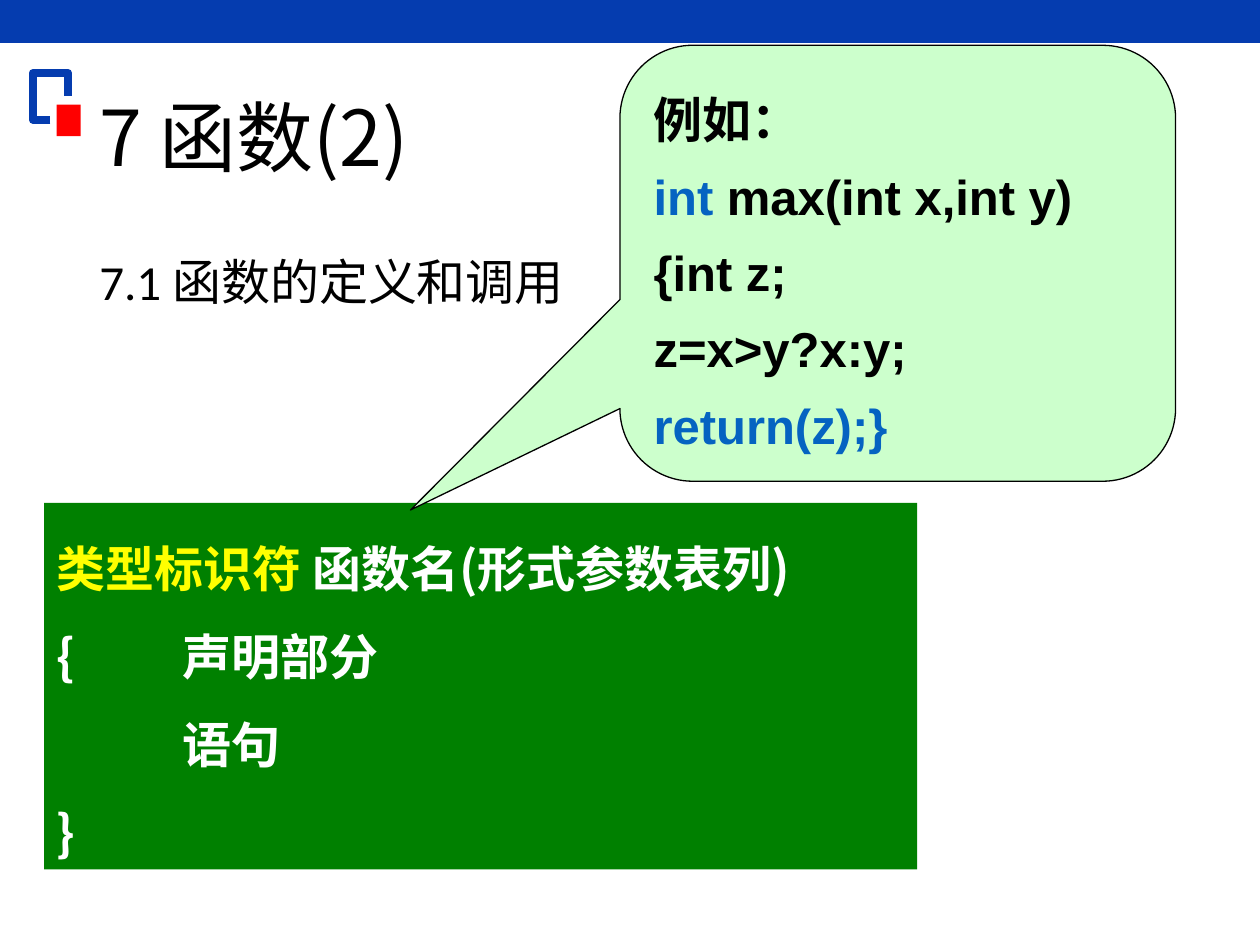
from pptx import Presentation
from pptx import util as u
from pptx.dml.color import RGBColor
from pptx.enum import shapes, text
from pptx.oxml.ns import qn
from lxml import etree

WIDTH, HEIGHT = 10, 7.5
CJK = "Noto Sans CJK SC"
COLORS = {
    "blue": "053CAF", "red": "FF0000", "green": "008000", "mint": "CCFFCC",
    "black": "000000", "white": "FFFFFF", "yellow": "FFFF00", "keyword": "0563C1",
}


def color(name):
    """Return the named colour."""
    return RGBColor.from_string(COLORS[name])


def add_block(page, kind, place, fill, line=None):
    """Add a filled preset shape, outlined only when a line colour is given."""
    block = page.shapes.add_shape(kind, *map(u.Inches, place))
    block.shadow.inherit = False
    block.fill.solid()
    block.fill.fore_color.rgb = color(fill)
    if line:
        block.line.color.rgb = color(line)
        block.line.width = u.Pt(0.75)
    else:
        block.line.fill.background()
    return block


def write(box, lines, size, font, spacing, anchor, bold=False):
    """Fill a box with lines, each a list of (words, colour) spans."""
    frame = box.text_frame
    frame.word_wrap = True
    frame.vertical_anchor = anchor
    frame.text = "\n" * (len(lines) - 1)
    for para, spans in zip(frame.paragraphs, lines):
        para.alignment = text.PP_ALIGN.LEFT
        para.line_spacing = spacing
        for words, tint in spans:
            span = para.add_run()
            span.text = words
            span.font.size = u.Pt(size)
            span.font.bold = bold
            span.font.color.rgb = color(tint)
            span.font.name = font
            east_asian = etree.SubElement(span.font._element, qn("a:ea"))
            east_asian.set("typeface", CJK)


def set_tab(para, inches):
    """Give a paragraph one left tab stop."""
    stops = etree.SubElement(para._p.get_or_add_pPr(), qn("a:tabLst"))
    etree.SubElement(stops, qn("a:tab"), pos=str(u.Inches(inches)), algn="l")


def add_heading(page, words, place, size, font, anchor):
    """Add a single-line heading in a text box."""
    box = page.shapes.add_textbox(*map(u.Inches, place))
    write(box, [[(words, "black")]], size, font, 0.9, anchor)


def add_ornament(page):
    """Draw the top band and the open square with its red corner."""
    rectangle = shapes.MSO_SHAPE.RECTANGLE
    add_block(page, rectangle, (0, 0, WIDTH, 0.34), "blue")
    left, top, right, bottom = 26, 58, 54, 95
    builder = page.shapes.build_freeform(40, bottom, scale=u.Inches(0.01))
    builder.add_line_segments(
        [(left, bottom), (left, top), (right, top), (right, 76)], close=False)
    bracket = builder.convert_to_shape()
    bracket.shadow.inherit = False
    bracket.fill.background()
    bracket.line.color.rgb = color("blue")
    bracket.line.width = u.Pt(4.5)
    add_block(page, rectangle, (0.45, 0.83, 0.19, 0.25), "red")


def add_syntax(page):
    """Add the panel with the general form of a function."""
    panel = add_block(page, shapes.MSO_SHAPE.RECTANGLE, (0.35, 3.99, 6.93, 2.91), "green")
    lines = [
        [("类型标识符", "yellow"), (" 函数名(形式参数表列)", "white")],
        [("{\t声明部分", "white")],
        [("\t语句", "white")],
        [("}", "white")],
    ]
    write(panel, lines, 28, CJK, u.Pt(50.3), text.MSO_ANCHOR.TOP, bold=True)
    for para in panel.text_frame.paragraphs:
        set_tab(para, 1)


def add_example(page):
    """Add the callout with the sample function."""
    callout = add_block(page, shapes.MSO_SHAPE.ROUNDED_RECTANGULAR_CALLOUT,
                        (4.92, 0.36, 4.41, 3.46), "mint", "black")
    for index, value in enumerate((-0.877, 0.566, 0.167)):
        callout.adjustments[index] = value
    lines = [
        [("例如：", "black")],
        [("int", "keyword"), (" max(int x,int y)", "black")],
        [("{int z;", "black")],
        [("z=x>y?x:y;", "black")],
        [("return(z);}", "keyword")],
    ]
    write(callout, lines, 28, "Arial", u.Pt(43.6), text.MSO_ANCHOR.MIDDLE, bold=True)


def main():
    """Build and save the slide."""
    deck = Presentation()
    deck.slide_width, deck.slide_height = u.Inches(WIDTH), u.Inches(HEIGHT)
    page = deck.slides.add_slide(deck.slide_layouts[6])
    add_ornament(page)
    add_heading(page, "7 函数(2)", (0.69, 0.4, 8.62, 1.45), 44, CJK,
                text.MSO_ANCHOR.MIDDLE)
    add_heading(page, "7.1 函数的定义和调用", (0.69, 2, 8.62, 4.76), 28, "Calibri",
                text.MSO_ANCHOR.TOP)
    add_syntax(page)
    add_example(page)
    deck.save("out.pptx")


if __name__ == "__main__":
    main()
